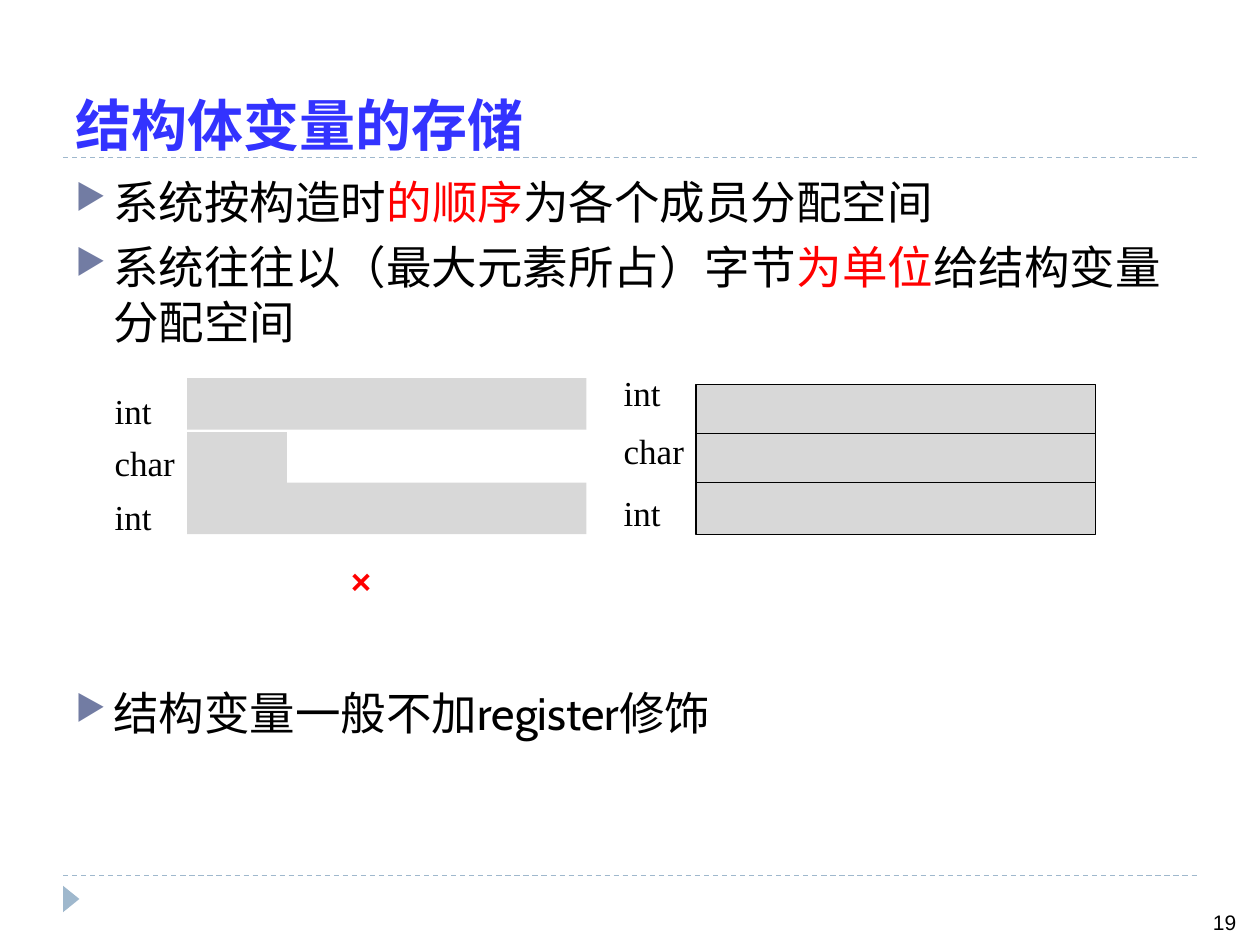
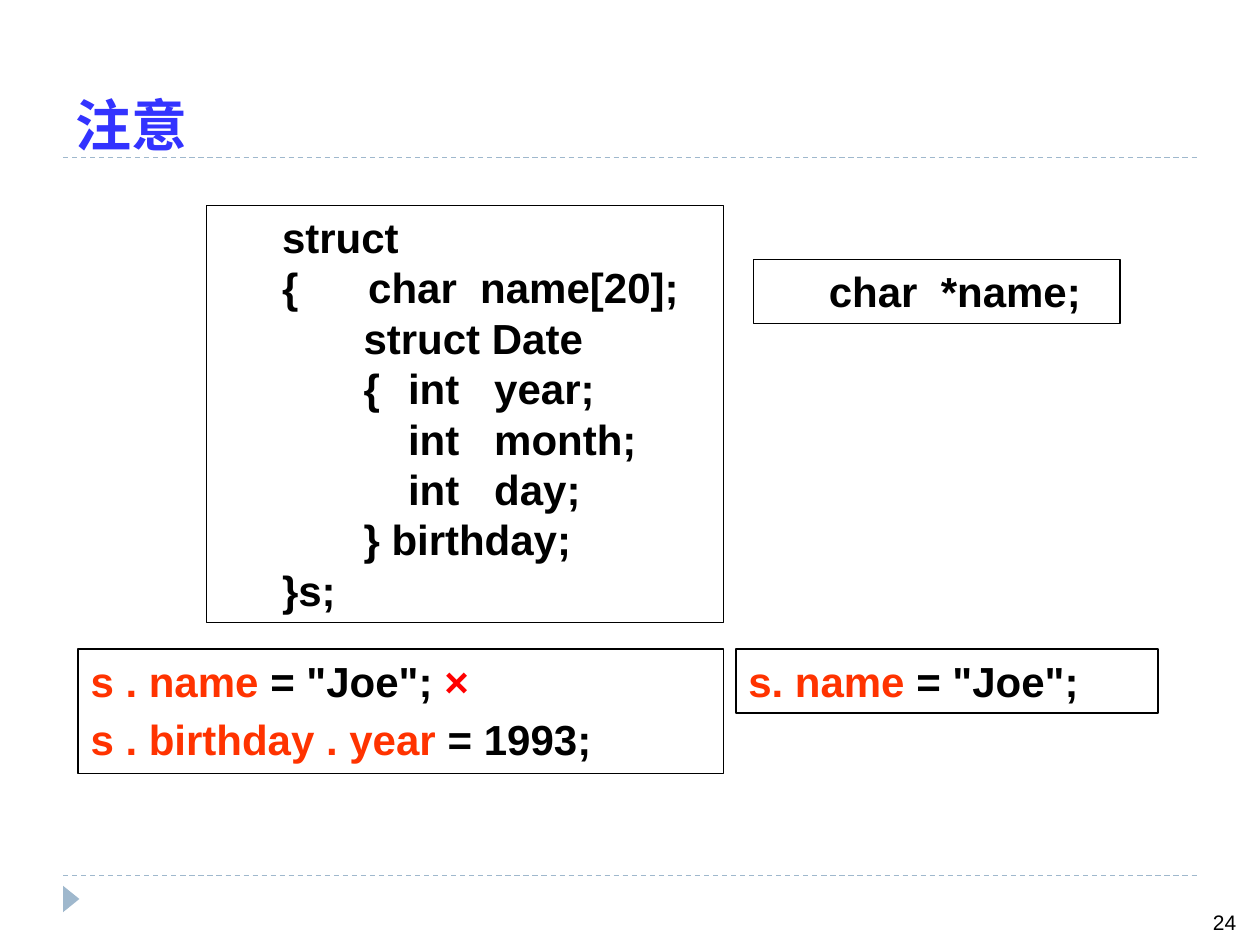
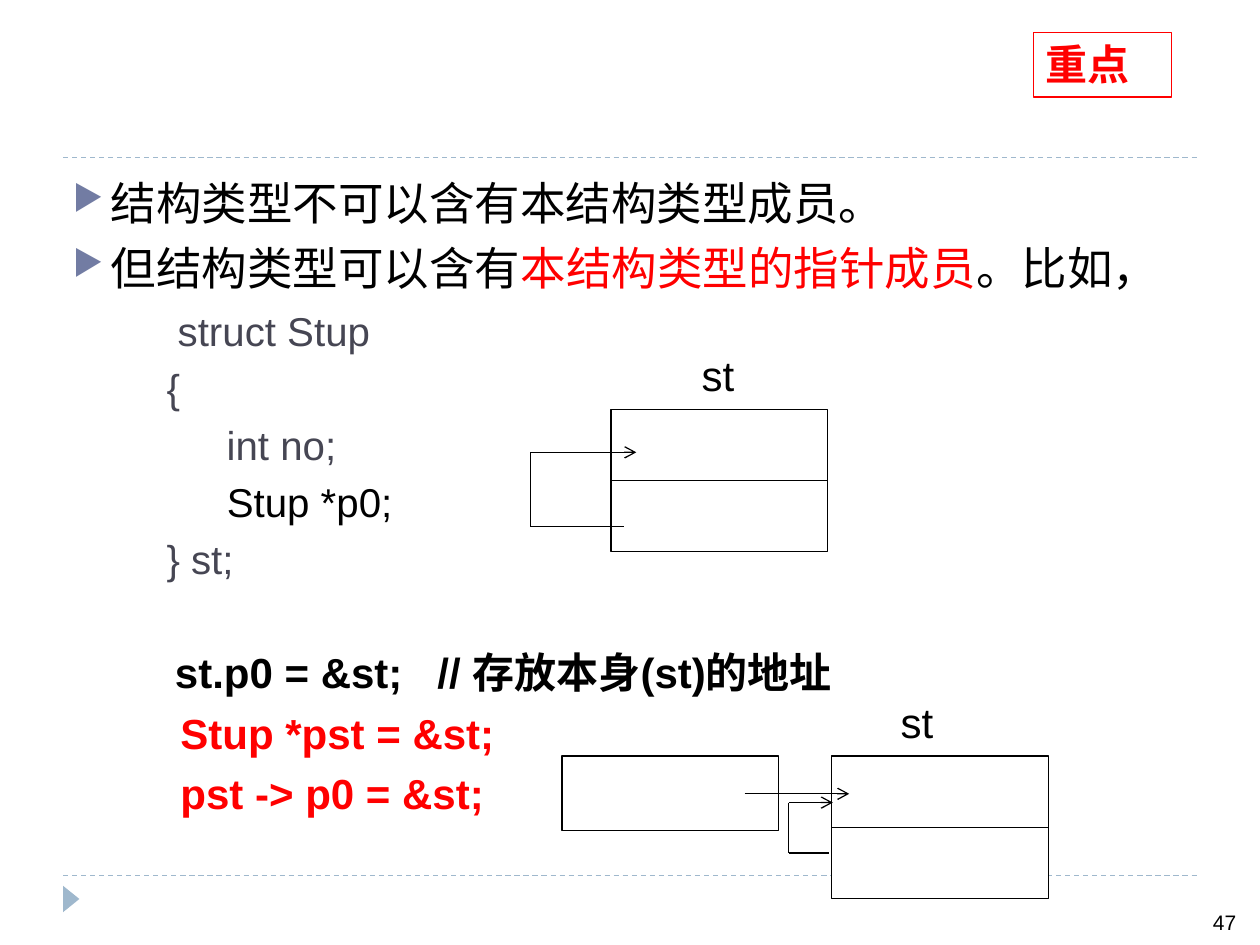
from dataclasses import dataclass

from lxml import etree
from pptx import Presentation
from pptx import util as u
from pptx.dml.color import RGBColor
from pptx.enum import dml, shapes, text
from pptx.oxml.ns import qn

COLS, ROWS = 100, 75


@dataclass(frozen=True)
class Theme:
    # colours
    black: str = "000000"
    white: str = "FFFFFF"
    red: str = "FF0000"
    orange: str = "FF3300"
    blue: str = "3333FF"
    slate: str = "464653"
    rule: str = "9FB8CD"
    mark: str = "727CA3"
    bar: str = "D8D8D8"
    # fonts
    head: str = "Noto Sans CJK SC"
    body: str = "Cabin"
    code: str = "Arial"
    serif: str = "Times New Roman"
    # type sizes and line measures, in points
    title: int = 32
    main: int = 26
    big: int = 24
    mid: int = 23
    label: int = 20
    small: int = 12
    lead: float = 1.2
    line: float = 0.75


T = Theme()


def child(node, tag, **attrs):
    return etree.SubElement(node, qn(tag), attrs)


class Deck:
    """Holds the theme, the grid and the current slide."""

    def __init__(self):
        self.prs = Presentation()
        self.prs.slide_width, self.prs.slide_height = u.Inches(10), u.Inches(7.5)
        self.wide = self.prs.slide_width / COLS
        self.tall = self.prs.slide_height / ROWS
        self.slide = None

    def grid(self, *cells):
        """Turn alternating columns and rows into lengths."""
        return [u.Emu(round(c * (self.tall if i % 2 else self.wide)))
                for i, c in enumerate(cells)]

    def page(self, number, title=None):
        """Start a slide with its rules, corner mark, title and number."""
        self.slide = self.prs.slides.add_slide(self.prs.slide_layouts[6])
        for y in (69.5, 12.5):
            self.link(5, y, 95, y, T.rule, dash=True)
        kind = shapes.MSO_SHAPE.ISOSCELES_TRIANGLE
        self.rect((4.6, 70.7, 2.1, 1.3), T.rule, None, kind).rotation = 90
        if title:
            box = self.put((5, 1.7, 90, 10.8), [title], T.title, T.head, T.blue,
                           bold=True, lead=None)
            box.text_frame.vertical_anchor = text.MSO_ANCHOR.BOTTOM
            box.text_frame.margin_bottom = 0
        self.put((89.3, 71.7, 9.8, 2.5), [str(number)], T.small,
                 align=text.PP_ALIGN.RIGHT)

    def rect(self, at, fill=T.white, line=T.black, kind=shapes.MSO_SHAPE.RECTANGLE):
        shape = self.slide.shapes.add_shape(kind, *self.grid(*at))
        shape.shadow.inherit = False
        if fill:
            shape.fill.solid()
            shape.fill.fore_color.rgb = RGBColor.from_string(fill)
        else:
            shape.fill.background()
        if line:
            shape.line.color.rgb = RGBColor.from_string(line)
            shape.line.width = u.Pt(T.line)
        else:
            shape.line.fill.background()
        return shape

    def link(self, x1, y1, x2, y2, color=T.black, dash=False, arrow=False):
        line = self.slide.shapes.add_connector(
            shapes.MSO_CONNECTOR.STRAIGHT, *self.grid(x1, y1, x2, y2))
        line.line.color.rgb = RGBColor.from_string(color)
        line.line.width = u.Pt(T.line)
        if dash:
            line.line.dash_style = dml.MSO_LINE.DASH
        props = line._element.spPr
        if arrow:
            child(props.find(qn("a:ln")), "a:tailEnd", type="arrow")
        child(props, "a:effectLst")
        return line

    def put(self, at, lines, size=T.big, font=T.code, color=T.black, bold=False,
            align=text.PP_ALIGN.LEFT, shape=None, inset=True, gap=0,
            indent=(0, 0), bullet=False, lead=T.lead):
        """Each line is a string or a list of (string, colour) parts."""
        box = shape or self.slide.shapes.add_textbox(*self.grid(*at))
        frame = box.text_frame
        frame.word_wrap = True
        frame.vertical_anchor = text.MSO_ANCHOR.TOP
        if not inset:
            frame.margin_left = frame.margin_right = 0
            frame.margin_top = frame.margin_bottom = 0
        for i, line in enumerate(lines):
            para = frame.add_paragraph() if i else frame.paragraphs[0]
            para.alignment = align
            if lead:
                para.line_spacing = u.Pt(size * lead)
            if i and gap:
                para.space_before = u.Pt(gap)
            left, first = self.grid(*indent)
            props = para._p.get_or_add_pPr()
            props.set("marL", str(left))
            props.set("indent", str(first))
            if bullet:
                child(child(props, "a:buClr"), "a:srgbClr", val=T.mark)
                child(props, "a:buSzPct", val="76000")
                child(props, "a:buChar", char="▶")
            parts = [(line, color)] if isinstance(line, str) else line
            for words, tint in parts:
                self.run(para, words, size, font, tint, bold)
        return box

    def run(self, para, words, size, font, color, bold):
        run = para.add_run()
        run.text = words
        run.font.size, run.font.name, run.font.bold = u.Pt(size), font, bold
        run.font.color.rgb = RGBColor.from_string(color)
        props = run._r.get_or_add_rPr()
        props.set("lang", "zh-CN")
        child(props, "a:ea", typeface=font)

    def points(self, at, lines):
        self.put(at, lines, T.main, T.body, gap=6, indent=(3, -3), bullet=True)

    def frame(self, at, lines, fill=T.white, line=T.black, **style):
        self.put(at, lines, bold=True, shape=self.rect(at, fill, line), **style)

    def layout(self, left, tops, bars, line=None):
        """Memory rows: a type label beside a bar of given top and width."""
        for name, top, (y, wide) in zip(("int", "char", "int"), tops, bars):
            self.put((left, top, 6.7, 4.1), [name], T.label, T.serif, inset=False)
            self.rect((left + 5.75, y, wide, 4.1), T.bar, line)

    def record(self, left, top, tag):
        """A two-field record with its name above."""
        box = self.rect((left, top, 17.2, 11.3))
        mid = self.link(left, top + 5.65, left + 17.2, top + 5.65)
        mid.begin_connect(box, 1)
        mid.end_connect(box, 3)
        self.put((tag, top - 5.25, 7.4, 5.1), ["st"])


def storage(deck):
    deck.page(19, "结构体变量的存储")
    deck.points((5, 13.3, 90, 15), [
        [("系统按构造时", T.black), ("的顺序", T.red), ("为各个成员分配空间", T.black)],
        [("系统往往以（最大元素所占）字节", T.black), ("为单位", T.red),
         ("给结构变量分配空间", T.black)],
    ])
    # packed rows against aligned rows
    full = 31.7
    deck.layout(9.1, (30.9, 35, 39.3), ((30, full), (34.3, full / 4), (38.3, full)))
    deck.layout(49.5, (29.5, 34.1, 39), [(30.5 + 3.9 * i, full) for i in range(3)],
                T.black)
    deck.put((23.9, 44.4, 9.5, 4.1), ["×"], T.label, color=T.red, bold=True,
             align=text.PP_ALIGN.CENTER, inset=False)
    deck.points((5, 53.9, 90, 6), ["结构变量一般不加register修饰"])


def caution(deck):
    deck.page(24, "注意")
    # declarations
    deck.frame((16.4, 16.3, 41, 33.1), [
        "struct",
        "{      char  name[20];",
        "       struct Date",
        "       {\tint   year;",
        "          \tint   month;",
        "          \tint   day;",
        "       } birthday;",
        "}s;",
    ], None, indent=(5, 0))
    deck.frame((59.8, 20.6, 29.1, 5.1), ["char  *name;"], None, indent=(5, 0))
    # assignments
    deck.frame((6.2, 51.5, 51.2, 9.9), [
        [("s . name ", T.orange), ('= "Joe"; ', T.black), ("×", T.red)],
        [("s . birthday . year ", T.orange), ("= 1993;", T.black)],
    ], gap=4.8)
    deck.frame((58.4, 51.5, 33.5, 5.1),
               [[("s. name ", T.orange), ('= "Joe";', T.black)]])


def pointer(deck):
    deck.page(47)
    deck.points((4.8, 13.4, 90, 11), [
        "结构类型不可以含有本结构类型成员。",
        [("但结构类型可以含有", T.black), ("本结构类型的指针成员", T.red),
         ("。比如，", T.black)],
    ])
    # code
    deck.put((4.8, 23.8, 36, 24), [
        "      struct Stup",
        "     {",
        "\t       int no;",
        [("\t       ", T.slate), ("Stup *p0;", T.black)],
        "     } st;",
    ], T.mid, color=T.slate, gap=5, indent=(6, -3))
    deck.put((4.8, 55.7, 39, 10), ["      Stup *pst = &st;", "      pst -> p0 = &st;"],
             color=T.red, bold=True, gap=5, indent=(6, -3))
    deck.frame((82, 2.6, 11, 5.1), ["重点"], None, T.red, color=T.red)
    # record that points to itself
    deck.record(48.5, 32.5, 54.7)
    deck.link(42.1, 35.9, 50.5, 35.9, arrow=True)
    deck.link(42.1, 41.8, 42.1, 35.9)
    deck.link(42.1, 41.8, 49.5, 41.8)
    # pointer variable and the record it reaches
    deck.record(66, 60, 70.5)
    deck.rect((44.6, 60, 17.2, 5.9))
    deck.link(59.1, 63, 67.4, 63, arrow=True)
    deck.link(62.6, 67.7, 65.8, 67.7)
    deck.link(62.6, 67.7, 62.6, 63.7)
    deck.link(62.6, 63.7, 66.1, 63.7, arrow=True)
    deck.put((7.9, 50.8, 68.5, 5), ["st.p0 = &st;   // 存放本身(st)的地址"],
             bold=True, indent=(5, 0))


def main():
    deck = Deck()
    for build in (storage, caution, pointer):
        build(deck)
    deck.prs.save("out.pptx")


if __name__ == "__main__":
    main()
